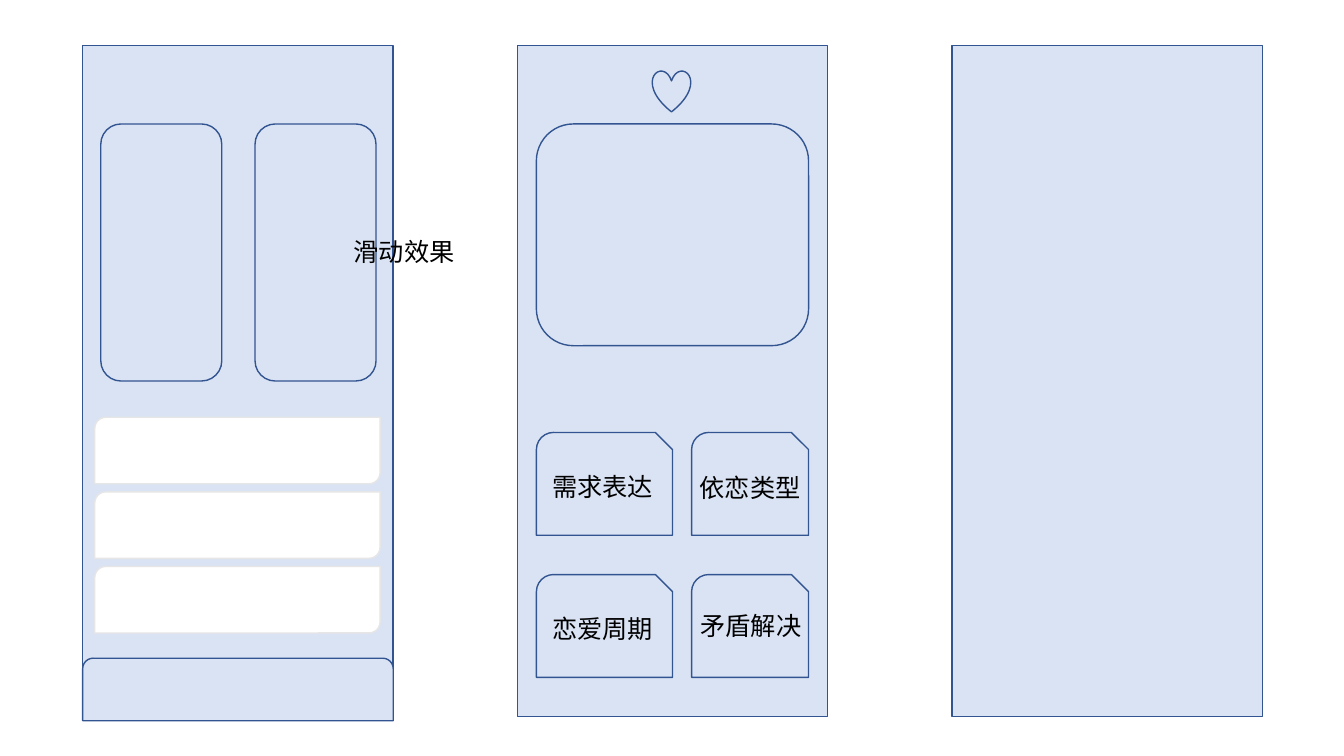
from pptx import Presentation
from pptx.dml.color import RGBColor
from pptx.enum.shapes import MSO_SHAPE
from pptx.enum.text import MSO_ANCHOR, MSO_AUTO_SIZE, PP_ALIGN
from pptx.oxml.ns import qn
from pptx.util import Pt
from lxml.etree import SubElement
from dataclasses import dataclass

PX = 9144


@dataclass(frozen=True)
class Theme:
    panel: str = "DAE3F3"
    outline: str = "325491"
    item: str = "FFFFFF"
    item_line: str = "E7E6E6"
    text: str = "000000"
    font: str = "Noto Sans CJK SC"
    size: int = 18
    line: int = 1


THEME = Theme()


def px(*values):
    return [v * PX for v in values]


def apply(target, formats):
    for name, value in formats.items():
        setattr(target, name, value)


def add_shape(slide, kind, box, fill=THEME.panel, line=THEME.outline):
    sp = slide.shapes.add_shape(kind, *px(*box))
    sp.shadow.inherit = False
    sp.fill.solid()
    sp.fill.fore_color.rgb = RGBColor.from_string(fill)
    sp.line.color.rgb = RGBColor.from_string(line)
    sp.line.width = Pt(THEME.line)
    return sp


def write(sp, text, align=PP_ALIGN.LEFT, **frame):
    tf = sp.text_frame
    apply(tf, {"word_wrap": True, **frame})
    p = tf.paragraphs[0]
    p.alignment = align
    r = p.add_run()
    r.text = text
    apply(r.font, {"name": THEME.font, "size": Pt(THEME.size)})
    r.font.color.rgb = RGBColor.from_string(THEME.text)
    SubElement(r.font._element, qn("a:ea"), typeface=THEME.font)


def add_label(slide, box, text, **frame):
    s = slide.shapes.add_textbox(*px(*box))
    write(s, text, auto_size=MSO_AUTO_SIZE.SHAPE_TO_FIT_TEXT, **frame)


def phone(slide, box):
    add_shape(slide, MSO_SHAPE.RECTANGLE, box)


def home_screen(slide, box):
    x, y, w, h = box
    phone(slide, box)
    for col in range(2):
        add_shape(slide, MSO_SHAPE.ROUNDED_RECTANGLE,
                  (x + 18 + col * 153, y + 78, 120, 255))
    add_label(slide, (x + 259, y + 185, 121, 40), "滑动效果", word_wrap=False)
    for row in range(3):
        add_shape(slide, MSO_SHAPE.ROUND_2_DIAG_RECTANGLE,
                  (x + 12, y + 369 + row * 74, 283, 66),
                  THEME.item, THEME.item_line)
    add_shape(slide, MSO_SHAPE.ROUND_2_SAME_RECTANGLE, (x, y + 608, w, 62))


def topic_screen(slide, box):
    x, y, w, h = box
    phone(slide, box)
    add_shape(slide, MSO_SHAPE.HEART, (x + 134, y + 25, 38, 41))
    add_shape(slide, MSO_SHAPE.ROUNDED_RECTANGLE, (x + 19, y + 78, 270, 220))
    for row, topic in enumerate(("需求表达", "恋爱周期")):
        top = y + 384 + row * 141
        sp = add_shape(slide, MSO_SHAPE.SNIP_ROUND_RECTANGLE,
                       (x + 19, top, 135, 102))
        write(sp, topic, PP_ALIGN.CENTER, vertical_anchor=MSO_ANCHOR.MIDDLE)
        add_shape(slide, MSO_SHAPE.SNIP_ROUND_RECTANGLE,
                  (x + 173, top, 116, 102))
    add_label(slide, (x + 171, y + 387, 135, 71), "依恋类型",
              vertical_anchor=MSO_ANCHOR.BOTTOM)
    add_label(slide, (x + 172, y + 556, 135, 40), "矛盾解决")


def main():
    prs = Presentation()
    apply(prs, {"slide_width": 1333 * PX, "slide_height": 750 * PX})
    slide = prs.slides.add_slide(prs.slide_layouts[6])
    for i, screen in enumerate((home_screen, topic_screen, phone)):
        screen(slide, (82 + i * 431, 45, 308, 666))
    prs.save("out.pptx")


if __name__ == "__main__":
    main()
